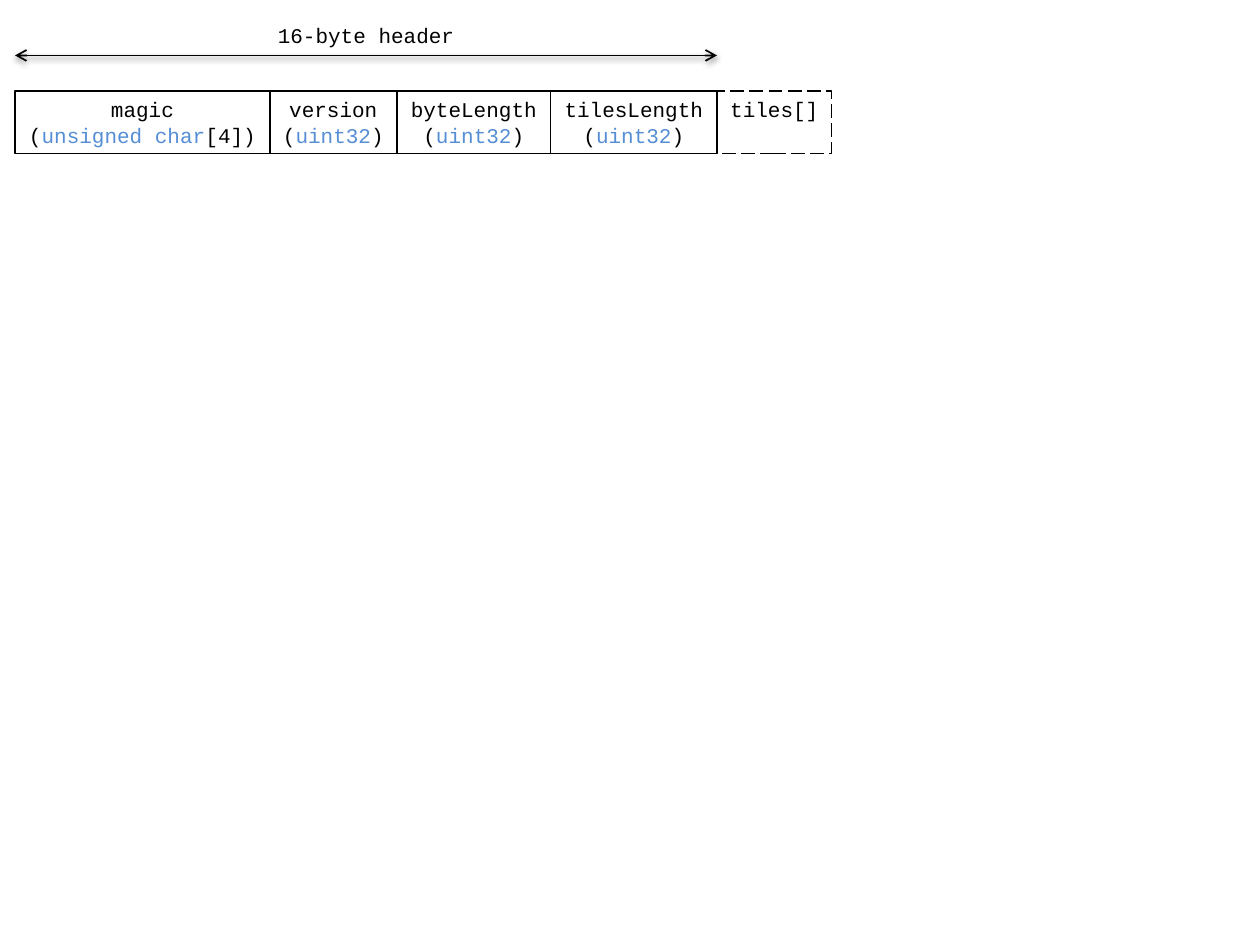
from itertools import accumulate

from lxml.etree import SubElement
from pptx import Presentation
from pptx.dml.color import RGBColor
from pptx.enum.dml import MSO_LINE
from pptx.enum.shapes import MSO_CONNECTOR, MSO_SHAPE
from pptx.enum.text import MSO_ANCHOR, MSO_AUTO_SIZE, PP_ALIGN
from pptx.oxml.ns import qn
from pptx.util import Inches, Pt

COLORS = {"ink": "000000", "type": "558ED5"}
FONT = {"name": "Courier New", "size": Pt(12)}
FRAME = {
    "word_wrap": False,
    "auto_size": MSO_AUTO_SIZE.NONE,
    "vertical_anchor": MSO_ANCHOR.TOP,
}

ROW_LEFT, ROW_TOP, ROW_HEIGHT = 0.12, 0.72, 0.5
ARROW_Y = 0.44
LABEL_TOP, LABEL_WIDTH, LABEL_HEIGHT = 0.13, 1.63, 0.3

# Field name, its type, the array suffix of the type, box width
HEADER_FIELDS = [
    ("magic", "unsigned char", "[4]", 2.02),
    ("version", "uint32", "", 1.01),
    ("byteLength", "uint32", "", 1.22),
    ("tilesLength", "uint32", "", 1.32),
]
TILES_WIDTH = 0.91


def rgb(color):
    return RGBColor.from_string(COLORS[color])


def write_lines(shape, lines):
    """Fill a shape with centred lines, each a list of (text, colour) runs."""
    frame = shape.text_frame
    for attribute, value in FRAME.items():
        setattr(frame, attribute, value)
    for index, line in enumerate(lines):
        paragraph = frame.add_paragraph() if index else frame.paragraphs[0]
        paragraph.alignment = PP_ALIGN.CENTER
        for text, color in line:
            run = paragraph.add_run()
            run.text = text
            for attribute, value in FONT.items():
                setattr(run.font, attribute, value)
            run.font.color.rgb = rgb(color)


def format_line(line, dash=None):
    line.color.rgb = rgb("ink")
    line.width = Pt(1)
    if dash:
        line.dash_style = dash


def add_field(slide, left, width, lines, dash=None):
    field = slide.shapes.add_shape(
        MSO_SHAPE.RECTANGLE,
        Inches(left), Inches(ROW_TOP), Inches(width), Inches(ROW_HEIGHT),
    )
    field.shadow.inherit = False
    field.fill.background()
    format_line(field.line, dash)
    write_lines(field, lines)


def add_soft_shadow(connector):
    effects = SubElement(connector._element.spPr, qn("a:effectLst"))
    shadow = SubElement(
        effects, qn("a:outerShdw"),
        blurRad=str(Pt(3.1)), dist=str(Pt(1.6)), dir="5400000", rotWithShape="0",
    )
    shade = SubElement(shadow, qn("a:srgbClr"), val=COLORS["ink"])
    SubElement(shade, qn("a:alpha"), val="38000")


def add_span_arrow(slide, left, right):
    arrow = slide.shapes.add_connector(
        MSO_CONNECTOR.STRAIGHT,
        Inches(left), Inches(ARROW_Y), Inches(right), Inches(ARROW_Y),
    )
    format_line(arrow.line)
    for end in ("a:headEnd", "a:tailEnd"):
        SubElement(arrow.line._get_or_add_ln(), qn(end), type="arrow")
    add_soft_shadow(arrow)


def add_span_label(slide, left, right, text):
    label = slide.shapes.add_textbox(
        Inches((left + right - LABEL_WIDTH) / 2), Inches(LABEL_TOP),
        Inches(LABEL_WIDTH), Inches(LABEL_HEIGHT),
    )
    write_lines(label, [[(text, "ink")]])


def main():
    presentation = Presentation()
    presentation.slide_width = Inches(10)
    presentation.slide_height = Inches(7.5)
    slide = presentation.slides.add_slide(presentation.slide_layouts[6])

    widths = [width for *_, width in HEADER_FIELDS]
    *lefts, header_right = accumulate(widths, initial=ROW_LEFT)

    add_span_arrow(slide, ROW_LEFT, header_right)
    add_span_label(slide, ROW_LEFT, header_right, "16-byte header")

    # The dashed box goes first so that the header's solid edge covers its side
    add_field(slide, header_right, TILES_WIDTH, [[("tiles[]", "ink")]], MSO_LINE.LONG_DASH)
    for left, (name, type_name, suffix, width) in zip(lefts, HEADER_FIELDS):
        type_line = [("(", "ink"), (type_name, "type"), (f"{suffix})", "ink")]
        add_field(slide, left, width, [[(name, "ink")], type_line])

    presentation.save("out.pptx")


if __name__ == "__main__":
    main()
